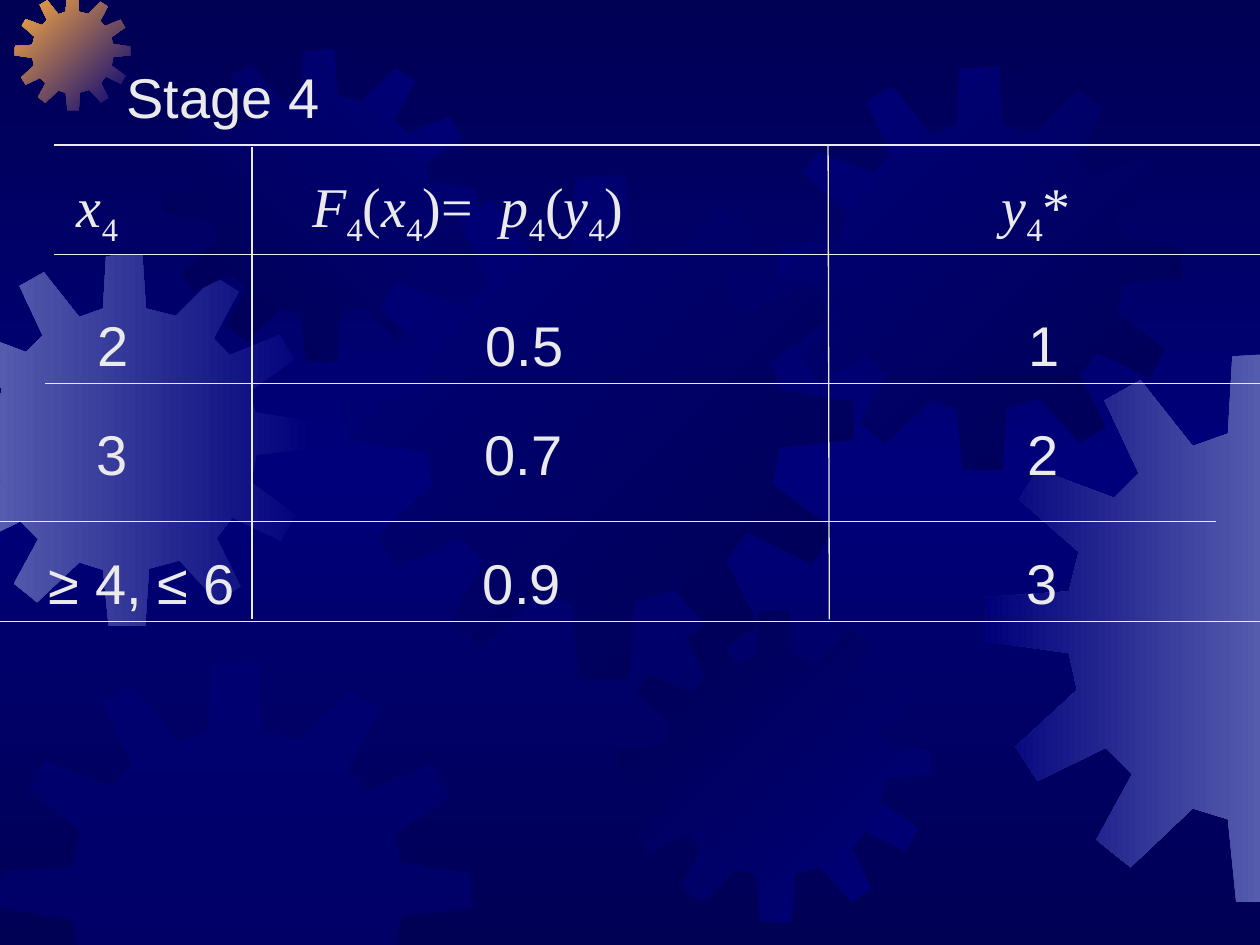
from copy import deepcopy
from itertools import accumulate, groupby

from lxml import etree
from pptx import Presentation
from pptx.dml.color import RGBColor
from pptx.enum.shapes import MSO_CONNECTOR
from pptx.enum.text import MSO_ANCHOR, MSO_AUTO_SIZE, PP_ALIGN
from pptx.oxml.ns import qn
from pptx.util import Pt

STRAIGHT = MSO_CONNECTOR.STRAIGHT
TOP = MSO_ANCHOR.TOP
NO_AUTOFIT = MSO_AUTO_SIZE.NONE
LEFT = PP_ALIGN.LEFT

NAVY = RGBColor(0x00, 0x00, 0x54)
BLUE = RGBColor(0x00, 0x00, 0x7A)
LAVENDER = RGBColor(0x55, 0x5B, 0xAD)
ORANGE = RGBColor(0xFC, 0xAB, 0x40)
LIGHT = RGBColor(0xEA, 0xEA, 0xEA)

SLIDE_WIDTH, SLIDE_HEIGHT = 720, 540

# Gear outline in percent of its size
GEAR_OUTLINE = [
    (63.6, 16.7), (55.6, 14.7), (54.6, 0), (44.9, 0.7), (44.1, 14.7), (37.7, 17),
    (28.2, 5), (21.7, 8.7), (27.9, 21.9), (23.4, 26.4), (9.5, 21.2), (6.2, 26.7),
    (17, 36.2), (15.2, 43.4), (0.2, 44.4), (0, 52.4), (15.2, 54.6), (16.7, 61.3),
    (5.5, 71.6), (9.5, 77.8), (21.9, 71.8), (26.7, 76.6), (20.2, 88.5), (26.4, 93.5),
    (37.7, 82.8), (44.1, 84.8), (45.6, 99.8), (55.4, 100), (56.4, 84.5), (64.6, 82.3),
    (74.6, 93.3), (81, 89.3), (74.6, 76.3), (78.8, 70.8), (91.8, 77.1), (95.8, 70.1),
    (83.8, 61.3), (85.3, 53.9), (100, 52.4), (99.8, 44.9), (85, 42.6), (83.5, 36.9),
    (95.5, 28.4), (91.5, 21.7), (78.1, 27.2), (73.8, 22.7), (80.5, 10.2), (74.1, 6.2),
]

# Left, top, size, colours, counter-clockwise gradient angle (None: half transparent)
GEARS = [
    (-35, 145, 213, (BLUE, LAVENDER), 180),
    (8.5, -3, 66, (BLUE, ORANGE), 135),
    (93.5, 28, 178.5, (BLUE, NAVY), 225),
    (199.5, 100, 288.5, (NAVY, BLUE), 135),
    (0, 378, 269.5, (BLUE,), None),
    (353.5, 348.5, 178.5, (BLUE, NAVY), 135),
    (445, 38, 230.5, (NAVY, BLUE), 135),
    (563, 201.5, 314.5, (LAVENDER, BLUE), 180),
]

TABLE_LEFT, TABLE_TOP = 25, 83
COLUMN_WIDTHS = [119, 330, 246]
ROW_HEIGHTS = [62.5, 73.5, 79, 57]
ROW_TOP_MARGINS = [18.5, 35, 24, 18.5]
# Each cell: text and the left edge of that text on the slide
ROWS = [
    [("x4", 44), ("F4(x4)=  p4(y4)", 178.5), ("y4*", 572.5)],
    [("2", 55.5), ("0.5", 277.5), ("1", 588)],
    [("3", 55), ("0.7", 277), ("2", 587)],
    [("≥ 4, ≤ 6", 28), ("0.9", 276), ("3", 586.5)],
]

# Start x, start y, end x, end y
RULES = [
    (31, 82.8, 720, 82.8),
    (31, 145.4, 720, 145.4),
    (25.5, 219, 720, 219),
    (0, 298.2, 695, 298.2),
    (0, 355, 720, 355),
    (144, 84, 144, 354),
    (473.2, 82.8, 473.9, 354),
]


def write_text(frame, text, font="Arial", size=32, color=LIGHT, formula=False):
    """Fill a text frame; in a formula letters are italic and digits subscript."""
    paragraph = frame.paragraphs[0]
    paragraph.alignment = LEFT
    kinds = groupby(text, lambda c: (c.isalpha(), c.isdigit())) if formula else [
        ((False, False), text)]
    for (is_italic, is_subscript), characters in kinds:
        run = paragraph.add_run()
        run.text = "".join(characters)
        run.font.name = font
        run.font.size = Pt(size)
        run.font.color.rgb = color
        run.font.italic = is_italic
        if is_subscript:
            run._r.get_or_add_rPr().set("baseline", "-25000")


def apply_gradient(fill, colors, angle):
    fill.gradient()
    fill.gradient_angle = angle
    for stop, color, position in zip(fill.gradient_stops, colors, (0, 1)):
        stop.color.rgb = color
        stop.position = position


def set_background(slide):
    """Vertical gradient that is brightest halfway down."""
    fill = slide.background.fill
    apply_gradient(fill, (NAVY, BLUE), 270)
    stops = slide.element.find(".//" + qn("a:gsLst"))
    stops[1].set("pos", "50000")
    last_stop = deepcopy(stops[0])
    last_stop.set("pos", "100000")
    stops.append(last_stop)


def clip(points, axis, limit, sign):
    """Keep the part of a polygon on one side of an axis-parallel line."""
    kept = []
    for start, end in zip(points[-1:] + points[:-1], points):
        start_inside = sign * (start[axis] - limit) >= 0
        end_inside = sign * (end[axis] - limit) >= 0
        if start_inside != end_inside:
            share = (limit - start[axis]) / (end[axis] - start[axis])
            kept.append(tuple(a + share * (b - a) for a, b in zip(start, end)))
        if end_inside:
            kept.append(end)
    return kept


def add_gear(slide, left, top, size, colors, angle):
    points = [(left + x * size / 100, top + y * size / 100) for x, y in GEAR_OUTLINE]
    for axis, limit in enumerate((SLIDE_WIDTH, SLIDE_HEIGHT)):
        points = clip(clip(points, axis, 0, 1), axis, limit, -1)
    corners = [(Pt(x), Pt(y)) for x, y in points]
    builder = slide.shapes.build_freeform(*corners[0])
    builder.add_line_segments(corners[1:], close=True)
    shape = builder.convert_to_shape()
    shape.shadow.inherit = False
    shape.line.fill.background()
    if angle is None:
        shape.fill.solid()
        shape.fill.fore_color.rgb = colors[0]
        color_element = shape.element.spPr.find(".//" + qn("a:srgbClr"))
        etree.SubElement(color_element, qn("a:alpha"), val="50000")
    else:
        apply_gradient(shape.fill, colors, angle)


def add_title(slide, text):
    title = slide.shapes.title
    title.left, title.top, title.width, title.height = Pt(65), Pt(28.5), Pt(176), Pt(46)
    frame = title.text_frame
    frame.auto_size = NO_AUTOFIT
    frame.vertical_anchor = TOP
    frame.margin_left = frame.margin_top = Pt(7.2)
    write_text(frame, text)
    title.element.getparent().append(title.element)  # in front of the gears


def remove_borders(cell):
    properties = cell._tc.get_or_add_tcPr()
    for side in "LRTB":
        line = etree.SubElement(properties, qn("a:ln" + side))
        etree.SubElement(line, qn("a:noFill"))


def add_stage_table(slide):
    table = slide.shapes.add_table(
        len(ROWS), len(COLUMN_WIDTHS), Pt(TABLE_LEFT), Pt(TABLE_TOP),
        Pt(sum(COLUMN_WIDTHS)), Pt(sum(ROW_HEIGHTS))).table
    table.first_row = table.horz_banding = False
    for column, width in zip(table.columns, COLUMN_WIDTHS):
        column.width = Pt(width)
    column_lefts = list(accumulate([TABLE_LEFT] + COLUMN_WIDTHS[:-1]))
    for row_index, row in enumerate(ROWS):
        table.rows[row_index].height = Pt(ROW_HEIGHTS[row_index])
        is_header = row_index == 0
        for column_index, (text, text_left) in enumerate(row):
            cell = table.cell(row_index, column_index)
            remove_borders(cell)
            cell.fill.background()
            cell.vertical_anchor = TOP
            cell.margin_left = Pt(text_left - column_lefts[column_index])
            cell.margin_top = Pt(ROW_TOP_MARGINS[row_index])
            cell.margin_right = cell.margin_bottom = 0
            write_text(cell.text_frame, text, formula=is_header,
                       font="Times New Roman" if is_header else "Arial")


def add_rule(slide, *ends):
    rule = slide.shapes.add_connector(STRAIGHT, *(Pt(value) for value in ends))
    rule.line.color.rgb = LIGHT
    rule.line.width = Pt(0.75)
    etree.SubElement(rule.element.spPr, qn("a:effectLst"))


def main():
    presentation = Presentation()
    presentation.slide_width, presentation.slide_height = Pt(SLIDE_WIDTH), Pt(SLIDE_HEIGHT)
    slide = presentation.slides.add_slide(presentation.slide_layouts[5])
    set_background(slide)
    for gear in GEARS:
        add_gear(slide, *gear)
    add_title(slide, "Stage 4")
    add_stage_table(slide)
    for ends in RULES:
        add_rule(slide, *ends)
    presentation.save("out.pptx")


if __name__ == "__main__":
    main()
